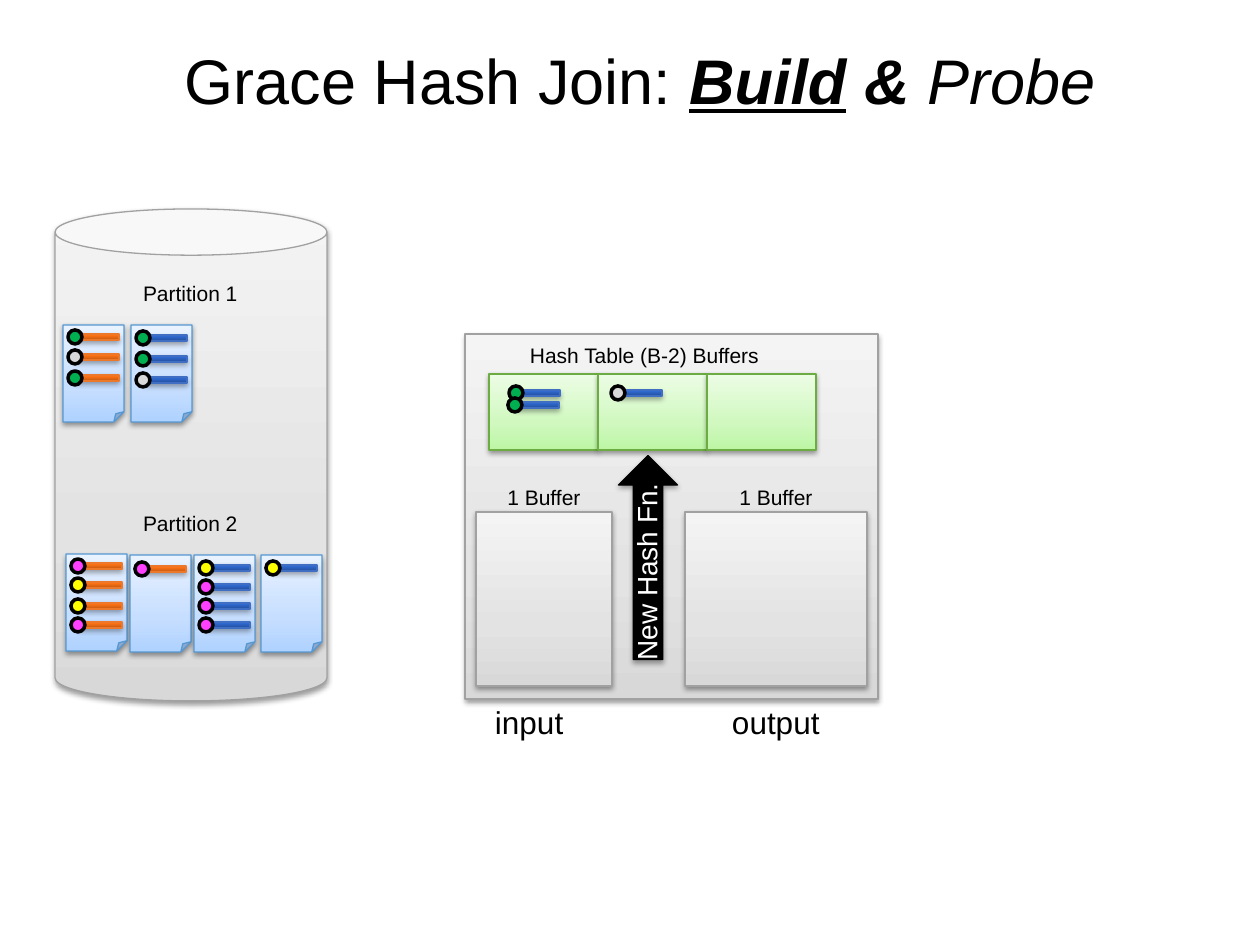
from copy import deepcopy

from lxml import etree
from pptx import Presentation
from pptx.dml.color import RGBColor
from pptx.enum import shapes, text
from pptx.oxml import ns
from pptx.util import Emu, Pt

PX = 914400 // 126
KIND = shapes.MSO_SHAPE
ALIGN = text.PP_ALIGN
GREY = ([(0, "D8D8D8"), (0.35, "E3E3E3"), (1, "F4F4F4")], "A1A1A1")
GREEN = ([(0, "BCF6A4"), (0.35, "D0F8BF"), (1, "ECFDE5")], "6DAC43")
PAPER = ([(0, "AFD2FF"), (0.35, "C6DEFF"), (1, "E9F2FF")], "5698D3")
ORANGE = ([(0, "C3580F"), (0.8, "FF7416"), (1, "FF7517")], "EC792B")
BLUE = ([(0, "24509E"), (0.8, "2F69D0"), (1, "2C69D4")], "3F6EC3")
BLACK = ("000000", "000000")
LEAF, SILVER, PINK, YELLOW = "00B050", "D9D9D9", "FF40FF", "FFFF00"


def rgb(value):
    """Turn a hex string into a colour."""
    return RGBColor.from_string(value)


def box(*lengths):
    """Turn pixel lengths into EMU."""
    return [Emu(n * PX) for n in lengths]


def paint(sp, fill):
    """Fill a shape with one colour or with a vertical gradient."""
    if isinstance(fill, str):
        sp.fill.solid()
        sp.fill.fore_color.rgb = rgb(fill)
        return
    sp.fill.gradient()
    sp.fill.gradient_angle = 90
    stops = sp._element.spPr.find(".//" + ns.qn("a:gsLst"))
    stops.append(deepcopy(stops[-1]))
    for stop, (position, colour) in zip(sp.fill.gradient_stops, fill):
        stop.position = position
        stop.color.rgb = rgb(colour)


def add_shadow(sp, alpha):
    """Give a shape a soft shadow below it."""
    effects = sp._element.spPr.find(ns.qn("a:effectLst"))
    shadow = etree.SubElement(effects, ns.qn("a:outerShdw"), blurRad=str(Pt(3)),
                              dist=str(Pt(1.7)), dir="5400000", rotWithShape="0")
    colour = etree.SubElement(shadow, ns.qn("a:srgbClr"), val="000000")
    etree.SubElement(colour, ns.qn("a:alpha"), val=str(alpha * 1000))


def add_shape(slide, kind, place, style, width=0.75, alpha=38):
    """Draw a preset shape with fill, line and optional shadow."""
    sp = slide.shapes.add_shape(kind, *box(*place))
    paint(sp, style[0])
    sp.line.color.rgb = rgb(style[1])
    sp.line.width = Pt(width)
    sp.shadow.inherit = False
    if alpha:
        add_shadow(sp, alpha)
    return sp


def set_margins(tf):
    """Set the same small inset on all sides."""
    tf.margin_left = tf.margin_right = tf.margin_top = tf.margin_bottom = Emu(6 * PX)


def add_run(p, words, size, colour="000000", bold=None, italic=None, underline=None):
    """Append a formatted run to a paragraph."""
    r = p.add_run()
    r.text = words
    r.font.name = "Arial"
    r.font.size = Pt(size)
    r.font.color.rgb = rgb(colour)
    r.font.bold, r.font.italic, r.font.underline = bold, italic, underline


def add_label(slide, words, place, size=12, colour="000000", align=ALIGN.LEFT, wrap=False):
    """Add a one-line text box."""
    sp = slide.shapes.add_textbox(*box(*place))
    tf = sp.text_frame
    tf.word_wrap = wrap
    tf.auto_size = text.MSO_AUTO_SIZE.SHAPE_TO_FIT_TEXT
    set_margins(tf)
    tf.paragraphs[0].alignment = align
    add_run(tf.paragraphs[0], words, size, colour)
    return sp


def add_title(slide):
    """Fill the title placeholder."""
    sp = slide.shapes.title
    sp.left, sp.top, sp.width, sp.height = box(179, 0, 987, 158)
    tf = sp.text_frame
    tf.auto_size = text.MSO_AUTO_SIZE.NONE
    tf.vertical_anchor = text.MSO_ANCHOR.MIDDLE
    set_margins(tf)
    p = tf.paragraphs[0]
    p.alignment = ALIGN.LEFT
    add_run(p, "Grace Hash Join: ", 36)
    add_run(p, "Build", 36, bold=True, italic=True, underline=True)
    add_run(p, " & ", 36, bold=True, italic=True)
    add_run(p, "Probe", 36, italic=True)


def add_record(slide, x, y, style, key):
    """Draw a record: a bar with a key dot at its left end."""
    add_shape(slide, KIND.RECTANGLE, (x + 8, y + 4, 43, 6), style, alpha=35)
    add_shape(slide, KIND.OVAL, (x, y, 14, 14), (key, "000000"), 2, alpha=0)


def add_page(slide, x, y, style, records):
    """Draw a page with its records."""
    add_shape(slide, KIND.FOLDED_CORNER, (x, y, 61, 97), PAPER)
    for top, key in records:
        add_record(slide, x + 5, top, style, key)


def add_buffer(slide, x, width):
    """Draw a one-page buffer under its label."""
    add_shape(slide, KIND.RECTANGLE, (x, 512, width, 174), GREY)
    add_label(slide, "1 Buffer", (x, 479, width, 37), align=ALIGN.CENTER, wrap=True)


def add_disk(slide):
    """Draw the disk with its two partitions."""
    disk = add_shape(slide, KIND.CAN, (55, 209, 272, 492), GREY)
    disk.adjustments[0] = 0.17
    pages = [
        (63, 325, ORANGE, [(330, LEAF), (350, SILVER), (371, LEAF)]),
        (131, 325, BLUE, [(331, LEAF), (352, LEAF), (373, SILVER)]),
        (66, 554, ORANGE, [(559, PINK), (578, YELLOW), (599, YELLOW), (618, PINK)]),
        (130, 555, ORANGE, [(562, PINK)]),
        (194, 555, BLUE, [(561, YELLOW), (580, PINK), (599, PINK), (618, PINK)]),
        (261, 555, BLUE, [(561, YELLOW)]),
    ]
    for page in pages:
        add_page(slide, *page)
    add_label(slide, "Partition 1", (137, 275, 110, 37))
    add_label(slide, "Partition 2", (137, 505, 110, 37))


def add_memory(slide):
    """Draw the memory with hash table, buffers and hash function."""
    add_shape(slide, KIND.RECTANGLE, (465, 334, 413, 365), GREY)
    for i in range(3):
        add_shape(slide, KIND.RECTANGLE, (489 + 109 * i, 374, 109, 76), GREEN)
    add_label(slide, "Hash Table (B-2) Buffers", (524, 337, 242, 37))
    add_buffer(slide, 476, 136)
    add_buffer(slide, 685, 182)
    arrow = add_shape(slide, KIND.RIGHT_ARROW, (546, 528, 204, 59), BLACK, alpha=35)
    label = add_label(slide, "New Hash Fn.", (539, 539, 212, 43), 16, "FFFFFF", wrap=True)
    arrow.rotation = label.rotation = 270
    for x, y, key in [(509, 386, LEAF), (611, 386, SILVER), (508, 398, LEAF)]:
        add_record(slide, x, y, BLUE, key)
    add_label(slide, "input", (489, 697, 84, 50), 18)
    add_label(slide, "output", (726, 697, 106, 50), 18)


def main():
    """Build the slide and save it."""
    prs = Presentation()
    prs.slide_width, prs.slide_height = box(1260, 945)
    slide = prs.slides.add_slide(prs.slide_layouts[5])
    add_title(slide)
    add_disk(slide)
    add_memory(slide)
    prs.save("out.pptx")


main()
